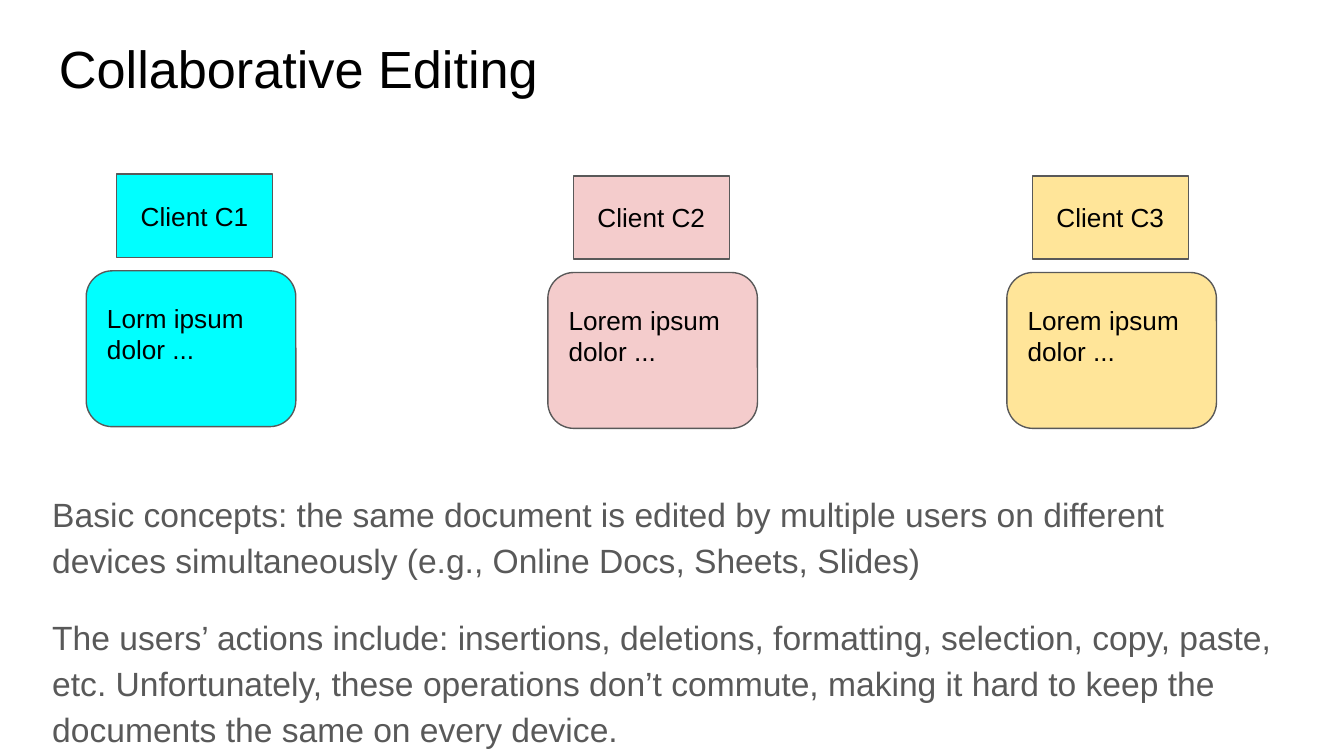
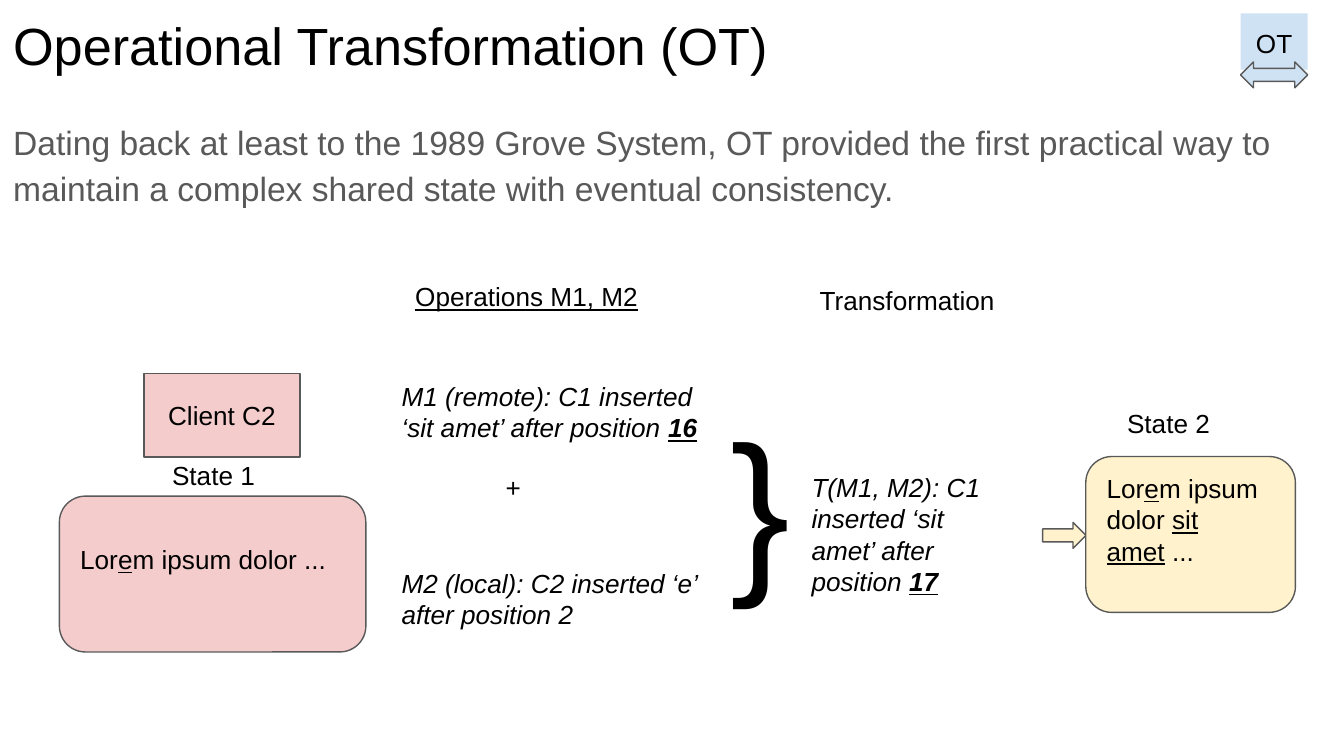
from lxml.etree import SubElement
from pptx import Presentation
from pptx.dml.color import RGBColor as Rgb
from pptx.enum.shapes import MSO_SHAPE as Preset
from pptx.enum.text import MSO_ANCHOR as Anchor, PP_ALIGN as Align
from pptx.util import Pt

COLORS = {
    "paper": "FFFFFF",
    "ink": "000000",
    "grey": "595959",
    "cyan": "00FFFF",
    "pink": "F4CCCC",
    "gold": "FFE599",
    "cream": "FFF2CC",
    "sky": "CFE2F3",
}
FONT = "Arial"
TITLE_SIZE, BODY_SIZE, LABEL_SIZE = 28, 18, 14
PAGE_WIDTH, PAGE_HEIGHT = 720, 405
INSET = 7.2
TITLE_HEIGHT = 45.4
BADGE = (83.5, 44.6)        # width and height of a client label
EDITOR = (112.3, 83.5)      # width and height of a document
EDITOR_FOOT = 16.1          # one free line under the document text
LABEL_HEIGHT = 31


def color(name):
    return Rgb.from_string(COLORS[name])


def write(shape, paras, size=LABEL_SIZE, ink="ink", align=Align.LEFT, anchor=Anchor.TOP, foot=0):
    """Each paragraph is a list of (text, marks); marks holds any of b, i, u."""
    frame = shape.text_frame
    frame.word_wrap = True
    frame.vertical_anchor = anchor
    frame.margin_left = frame.margin_right = frame.margin_top = Pt(INSET)
    frame.margin_bottom = Pt(INSET + foot)
    for index, spans in enumerate(paras):
        para = frame.add_paragraph() if index else frame.paragraphs[0]
        para.alignment = align
        for text, marks in spans:
            span = para.add_run()
            span.text = text
            font = span.font
            font.name, font.size = FONT, Pt(size)
            font.color.rgb = color(ink)
            font.bold, font.italic, font.underline = (mark in marks for mark in "biu")
    return frame


def add_text(page, box, spans, **style):
    return write(page.shapes.add_textbox(*map(Pt, box)), [spans], **style)


def add_block(page, preset, box, fill, outlined=True):
    shape = page.shapes.add_shape(preset, *map(Pt, box))
    shape.shadow.inherit = False
    shape.fill.solid()
    shape.fill.fore_color.rgb = color(fill)
    if outlined:
        shape.line.color.rgb = color("grey")
        shape.line.width = Pt(0.75)
    else:
        shape.line.fill.background()
    return shape


def add_page(deck, title, left=0, top=0, width=PAGE_WIDTH):
    page = deck.slides.add_slide(deck.slide_layouts[6])
    page.background.fill.solid()
    page.background.fill.fore_color.rgb = color("paper")
    add_text(page, (left, top, width, TITLE_HEIGHT), [(title, "")], size=TITLE_SIZE)
    return page


def add_body(page, box, texts):
    shape = page.shapes.add_textbox(*map(Pt, box))
    frame = write(shape, [[(text, "")] for text in texts], size=BODY_SIZE, ink="grey")
    for para in frame.paragraphs:
        para.line_spacing = 1.15
        para.space_after = Pt(16)


def add_badge(page, left, top, name, fill):
    badge = add_block(page, Preset.RECTANGLE, (left, top, *BADGE), fill)
    write(badge, [[(name, "")]], align=Align.CENTER, anchor=Anchor.MIDDLE)


def add_editor(page, left, top, spans, fill, width=EDITOR[0]):
    editor = add_block(page, Preset.ROUNDED_RECTANGLE, (left, top, width, EDITOR[1]), fill)
    write(editor, [spans], anchor=Anchor.MIDDLE, foot=EDITOR_FOOT)


def add_logo_tile(page, left, top):
    tile = add_block(page, Preset.RECTANGLE, (left, top, 36, 30.2), "sky", outlined=False)
    write(tile, [[("OT", "")]], align=Align.CENTER)
    add_block(page, Preset.LEFT_RIGHT_ARROW, (left, top + 26, 36, 13.9), "sky")


def add_operations(page, left, top):
    add_text(page, (left, top, 148.3, LABEL_HEIGHT), [("Operations M1, M2", "u")],
             align=Align.CENTER)
    add_text(page, (left, top + 53.3, 186.5, 52.6),
             [("M1 (remote): C1 inserted ‘sit amet’ after position ", "i"), ("16", "biu")])
    add_text(page, (left + 32.4, top + 102.2, 69.1, LABEL_HEIGHT), [("+", "")],
             align=Align.CENTER)
    add_text(page, (left, top + 153.4, 186.5, 52.6),
             [("M2 (local): C2 inserted ‘e’ after position 2", "i")])


def add_transformation(page, left, top):
    add_text(page, (left + 47.5, top, 112.3, LABEL_HEIGHT), [("Transformation", "")])
    add_text(page, (left, top + 58.3, 59, 145.4), [("}", "")], size=96)
    add_text(page, (left + 43.2, top + 100, 120.2, 74.2),
             [("T(M1, M2): C1 inserted ‘sit amet’ after position ", "i"), ("17", "biu")])


def add_first_state(page, left, top):
    add_badge(page, left + 45.4, top, "Client C2", "pink")
    add_text(page, (left + 53.3, top + 38.9, 69.1, LABEL_HEIGHT), [("State 1", "")])
    add_editor(page, left, top + 65.6,
               [("Lor", ""), ("e", "u"), ("m ipsum dolor ...", "")], "pink", width=164.2)


def add_second_state(page, left, top):
    add_text(page, (left + 38.1, top, 69.1, LABEL_HEIGHT), [("State 2", "")])
    add_block(page, Preset.RIGHT_ARROW, (left, top + 69.1, 23.2, 13.9), "cream")
    add_editor(page, left + 23.1, top + 33.8,
               [("Lor", ""), ("e", "u"), ("m ipsum dolor ", ""), ("sit amet", "u"), (" ...", "")],
               "cream")


def build_editing_page(deck):
    page = add_page(deck, "Collaborative Editing", left=24.5, top=12.2, width=671)
    add_body(page, (20.9, 254.2, 671, 141.1), [
        "Basic concepts: the same document is edited by multiple users on different devices "
        "simultaneously (e.g., Online Docs, Sheets, Slides)",
        "The users’ actions include: insertions, deletions, formatting, selection, copy, paste, "
        "etc. Unfortunately, these operations don’t commute, making it hard to keep the "
        "documents the same on every device.",
    ])
    # Clients: document left, label indent, top, name, text, fill
    clients = [
        (46.2, 16.3, 93.3, "Client C1", "Lorm ipsum dolor ...", "cyan"),
        (293.5, 13.7, 94.2, "Client C2", "Lorem ipsum dolor ...", "pink"),
        (539.4, 13.7, 94.2, "Client C3", "Lorem ipsum dolor ...", "gold"),
    ]
    for left, indent, top, name, text, fill in clients:
        add_badge(page, left + indent, top, name, fill)
        add_editor(page, left, top + 51.8, [(text, "")], fill)


def build_transformation_page(deck):
    page = add_page(deck, "Operational Transformation (OT)")
    add_body(page, (0, 54.7, PAGE_WIDTH, 67), [
        "Dating back at least to the 1989 Grove System, OT provided the first practical way to "
        "maintain a complex shared state with eventual consistency.",
    ])
    add_first_state(page, 31.8, 200.2)
    add_operations(page, 208, 143.3)
    add_transformation(page, 384.5, 145.4)
    add_second_state(page, 558.6, 210.8)
    add_logo_tile(page, 664.6, 7.2)


def main():
    deck = Presentation()
    deck.slide_width, deck.slide_height = Pt(PAGE_WIDTH), Pt(PAGE_HEIGHT)
    build_editing_page(deck)
    build_transformation_page(deck)
    deck.save("out.pptx")


if __name__ == "__main__":
    main()
